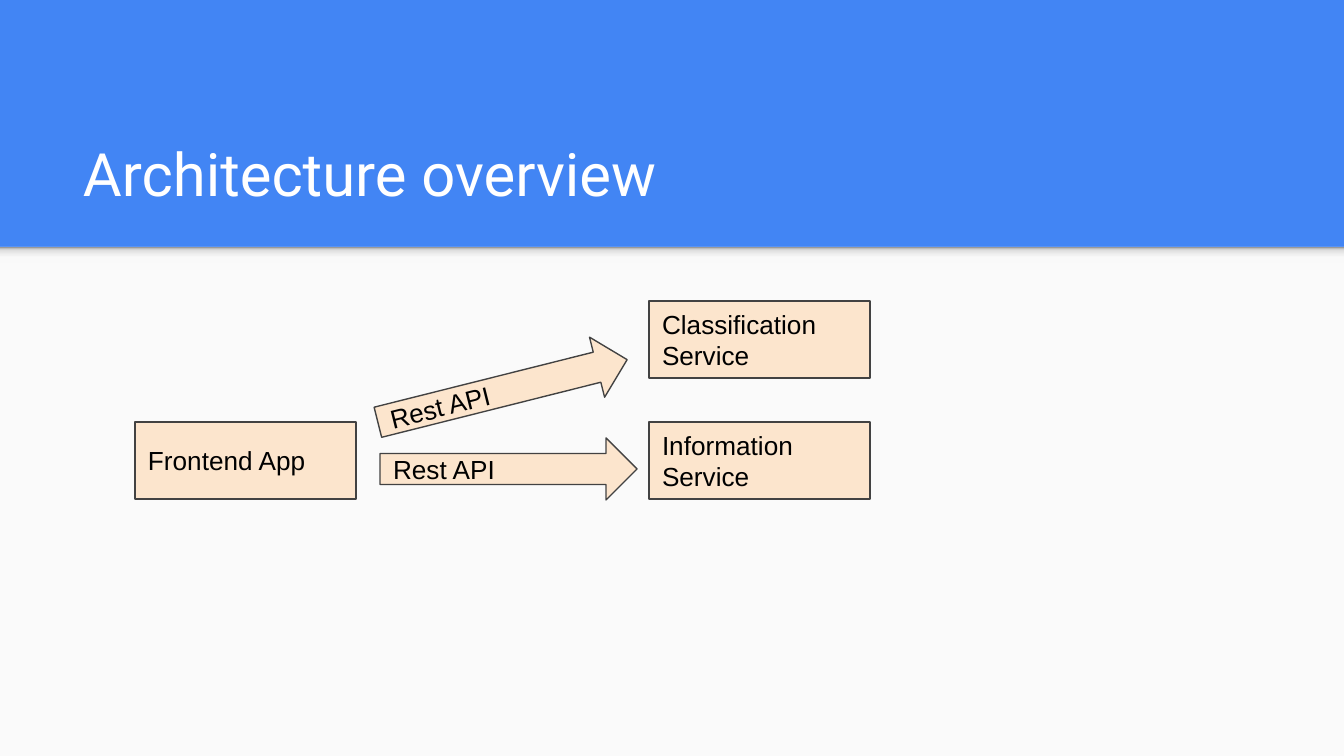
from lxml.etree import SubElement
from pptx import Presentation
from pptx.dml.color import RGBColor
from pptx.enum.shapes import MSO_SHAPE as Shape
from pptx.enum.text import MSO_ANCHOR as Anchor, PP_ALIGN as Align
from pptx.oxml.ns import qn
from pptx.util import Emu, Pt

SCALE = 914400 / 134.4
WIDTH, HEIGHT = 1344, 756
BLUE, PAPER, PEACH, GREY = "4285F4", "FAFAFA", "FCE5CD", "424242"
FADE = [(0, "F9F9F9"), (36, "F9F9F9"), (80, "DEDEDE"), (100, "999999")]


def px(*vals):
    return [Emu(round(val * SCALE)) for val in vals]


def paint(color, code):
    color.rgb = RGBColor.from_string(code)


def write(shape, text, size, font, code, anchor):
    frame = shape.text_frame
    frame.text = text
    frame.word_wrap = True
    frame.vertical_anchor = anchor
    frame.margin_left, frame.margin_top, frame.margin_right, frame.margin_bottom = px(13, 13, 13, 13)
    par = frame.paragraphs[0]
    par.alignment = Align.LEFT
    par.font.size = Pt(size)
    par.font.name = font
    paint(par.font.color, code)


def add_panel(slide, box):
    panel = slide.shapes.add_shape(Shape.RECTANGLE, *px(*box))
    panel.shadow.inherit = False
    panel.fill.solid()
    paint(panel.fill.fore_color, PAPER)
    panel.line.fill.background()
    return panel


def add_fade(slide, box):
    """Draw a strip that darkens towards its top edge."""
    strip = add_panel(slide, box)
    strip.fill.gradient()
    strip.fill.gradient_angle = 90
    stops = strip.fill._fill._gradFill.find(qn("a:gsLst"))
    for old in list(stops):
        stops.remove(old)
    for pos, code in FADE:
        stop = SubElement(stops, qn("a:gs"), pos=str(pos * 1000))
        SubElement(stop, qn("a:srgbClr"), val=code)


def add_node(slide, box, text, kind=Shape.RECTANGLE, turn=0):
    node = slide.shapes.add_shape(kind, *px(*box))
    node.shadow.inherit = False
    node.rotation = turn
    node.fill.solid()
    paint(node.fill.fore_color, PEACH)
    paint(node.line.color, GREY)
    node.line.width = Pt(0.75)
    write(node, text, 14, "Arial", "000000", Anchor.MIDDLE)


def add_head(slide, box):
    left, top, wide, high = box
    title = slide.shapes.add_textbox(*px(left + 70, top + 109, wide - 136, high - 134))
    write(title, "Architecture overview", 32, "Roboto", "FFFFFF", Anchor.BOTTOM)


def add_body(slide, box):
    left, top, wide, high = box
    add_panel(slide, box)
    add_fade(slide, (left, top, wide, 16))


def add_flow(slide, box):
    """Link the app on the left to the two services on the right."""
    left, top, wide, high = box
    node_w, node_h = 221, 77
    low, far = top + high - node_h, left + wide - node_w
    for x, y, text in [
        (left, low, "Frontend App"),
        (far, top, "Classification Service"),
        (far, low, "Information Service"),
    ]:
        add_node(slide, (x, y, node_w, node_h), text)
    for x, y, turn in [(245, 137, 0), (239, 59, -14.1)]:
        add_node(slide, (left + x, top + y, 257, 62), "Rest API", Shape.RIGHT_ARROW, turn)


def main():
    deck = Presentation()
    deck.slide_width, deck.slide_height = px(WIDTH, HEIGHT)
    slide = deck.slides.add_slide(deck.slide_layouts[6])
    back = slide.background.fill
    back.solid()
    paint(back.fore_color, BLUE)
    split = 247
    add_body(slide, (0, split, WIDTH, HEIGHT - split))
    add_head(slide, (0, 0, WIDTH, split))
    add_flow(slide, (135, 301, 735, 198))
    deck.save("out.pptx")


if __name__ == "__main__":
    main()
